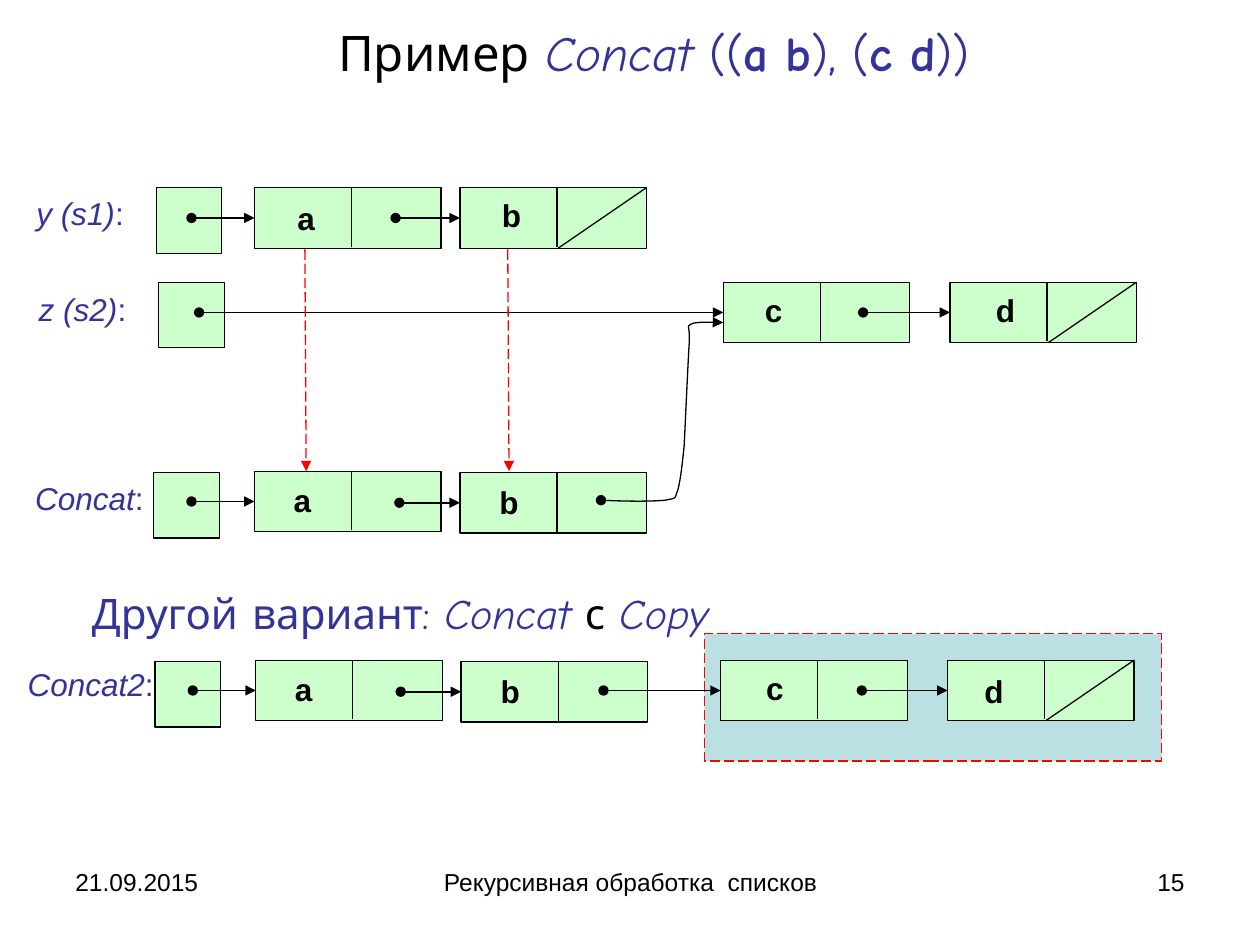
import pptx
import pptx.util
import pptx.dml.color
import pptx.enum.dml
import pptx.enum.shapes
import pptx.enum.text
import pptx.oxml.xmlchemy

BLACK = pptx.dml.color.RGBColor(0x00, 0x00, 0x00)
NAVY = pptx.dml.color.RGBColor(0x33, 0x33, 0x99)
RED = pptx.dml.color.RGBColor(0xFF, 0x00, 0x00)
GREEN = pptx.dml.color.RGBColor(0xCC, 0xFF, 0xCC)
TEAL = pptx.dml.color.RGBColor(0xBB, 0xE0, 0xE3)
LEFT = pptx.enum.text.PP_ALIGN.LEFT
CENTER = pptx.enum.text.PP_ALIGN.CENTER
RIGHT = pptx.enum.text.PP_ALIGN.RIGHT
RECTANGLE = pptx.enum.shapes.MSO_SHAPE.RECTANGLE
STRAIGHT = pptx.enum.shapes.MSO_CONNECTOR.STRAIGHT
DASH = pptx.enum.dml.MSO_LINE.LONG_DASH

deck = pptx.Presentation()
deck.slide_width = pptx.util.Inches(10)
deck.slide_height = pptx.util.Inches(7.5)
slide = deck.slides.add_slide(deck.slide_layouts[6])
shapes = slide.shapes
COL = deck.slide_width / 100
ROW = deck.slide_height / 75


def add_text(x, y, width, height, runs, size, font="Arial", align=CENTER, inset=(1, 0.5)):
    box = shapes.add_textbox(round(x * COL), round(y * ROW), round(width * COL), round(height * ROW))
    frame = box.text_frame
    frame.word_wrap = True
    frame.margin_left = frame.margin_right = round(inset[0] * COL)
    frame.margin_top = frame.margin_bottom = round(inset[1] * ROW)
    paragraph = frame.paragraphs[0]
    paragraph.alignment = align
    for words, color, style in runs:
        run = paragraph.add_run()
        run.text = words
        run.font.name = font
        run.font.size = pptx.util.Pt(size)
        run.font.color.rgb = color
        run.font.bold = "b" in style
        run.font.italic = "i" in style
    return paragraph


def add_line(x1, y1, x2, y2, color=BLACK, width=0.75):
    line = shapes.add_connector(STRAIGHT, round(x1 * COL), round(y1 * ROW),
                                round(x2 * COL), round(y2 * ROW))
    line.line.color.rgb = color
    line.line.width = pptx.util.Pt(width)
    line._element.spPr.append(pptx.oxml.xmlchemy.OxmlElement("a:effectLst"))
    return line


for x, width, words, align in (
    (5, 23.3, "21.09.2015", LEFT),
    (34.2, 31.7, "Рекурсивная обработка  списков", CENTER),
    (71.7, 23.3, "15", RIGHT),
):
    add_text(x, 68.3, width, 5.2, [(words, BLACK, "")], 14, align=align)

title = add_text(6.9, 2.2, 90, 5.1, [
    ("Пример ", BLACK, ""), ("Concat ", NAVY, "i"), ("((", NAVY, ""), ("a b", NAVY, "b"),
    ("), (", NAVY, ""), ("c d", NAVY, "b"), ("))", NAVY, "")], 28, "Comic Neue")
title.line_spacing = 0.8
add_text(2.9, 46.1, 57.7, 5, [
    ("Другой вариант: ", NAVY, ""), ("Concat ", NAVY, "i"), ("с ", BLACK, ""),
    ("Copy", NAVY, "i")], 24, "Comic Neue")

for x, y, width, height, name, inset in (
    (1.4, 14.9, 9.9, 4, "y (s1)", (1, 0.5)),
    (1.4, 22.5, 10.3, 4, "z (s2)", (1, 0.5)),
    (1.4, 37.5, 11.4, 4, "Concat", (1, 0.5)),
    (1.5, 52.7, 11.4, 3.2, "Concat2", (0.2, 0.1)),
):
    add_text(x, y, width, height, [(name, NAVY, "i"), (":", NAVY, "")], 18, inset=inset)

boxes = [(55.9, 50.3, 36.3, 10.1, TEAL, RED)]
boxes += [(x, y, 5.2, 5.2, GREEN, BLACK)
          for x, y in ((12.4, 14.9), (12.6, 22.4), (12.2, 37.5), (12.3, 52.5))]
CELL_WIDTH, CELL_HEIGHT = 14.8, 4.8
cells = {
    "y.a": (20.2, 14.9, 3.1, 0.8),
    "y.b": (36.5, 14.9, 3.1, 0.6),
    "z.c": (57.4, 22.4, 3, 0.6),
    "z.d": (75.4, 22.4, 3.4, 0.6),
    "concat.a": (20.2, 37.4, 2.8, 0.7),
    "concat.b": (36.5, 37.5, 2.9, 0.7),
    "concat2.a": (20.3, 52.4, 2.8, 0.7),
    "concat2.b": (36.6, 52.5, 2.9, 0.7),
    "concat2.c": (57.2, 52.4, 3.3, 0.6),
    "concat2.d": (75.2, 52.4, 2.7, 0.8),
}
list_ends = ("y.b", "z.d", "concat2.d")
boxes += [(x, y, CELL_WIDTH, CELL_HEIGHT, GREEN, BLACK) for x, y, *_ in cells.values()]

drawn = []
for x, y, width, height, fill, outline in boxes:
    box = shapes.add_shape(RECTANGLE, round(x * COL), round(y * ROW),
                           round(width * COL), round(height * ROW))
    box.shadow.inherit = False
    box.fill.solid()
    box.fill.fore_color.rgb = fill
    box.line.color.rgb = outline
    box.line.width = pptx.util.Pt(0.75)
    if outline == RED:
        box.line.dash_style = DASH
    drawn.append(box)
cell_boxes = dict(zip(cells, drawn[-len(cells):]))

for key, (x, y, letter_x, letter_y) in cells.items():
    add_line(x + 7.7, y, x + 7.7, y + 4.7)
    if key in list_ends:
        add_line(x + CELL_WIDTH, y, x + 7.8, y + CELL_HEIGHT)
    add_text(x + letter_x, y + letter_y, 2, 3.2, [(key[-1], BLACK, "b")], 18, inset=(0.2, 0.1))

pointers = []
for start, key in (
    (15.2, "y.a"), (31.4, "y.b"), (15.8, "z.c"), (68.5, "z.d"), (15.2, "concat.a"),
    (31.7, "concat.b"), (15.3, "concat2.a"), (31.8, "concat2.b"),
    (47.9, "concat2.c"), (68.4, "concat2.d"),
):
    x, y = cells[key][:2]
    middle = y + CELL_HEIGHT / 2
    pointer = add_line(start, middle, x, middle, width=1)
    pointer.end_connect(cell_boxes[key], 1)
    pointers.append(pointer)

copies = [add_line(x, 19.8, x + 0.1, 37.4, RED) for x in (24.2, 40.3)]
for copied in copies:
    copied.line.dash_style = DASH

bends = [
    ((49.8, 39.8), (51.8, 39.8), (52.8, 39.7)),
    ((53.8, 39.5), (53.5, 39.6), (53.8, 38.9)),
    ((54, 38.1), (54.1, 37.3), (54.3, 35.4)),
    ((54.4, 33.5), (54.6, 28.9), (54.7, 27.3)),
    ((54.8, 25.7), (54.4, 26), (54.9, 25.7)),
    ((55.3, 25.5), (57, 25.6), (57.4, 25.6)),
]
STEPS = 10
start = (47.7, 39.7)
builder = shapes.build_freeform(round(start[0] * COL), round(start[1] * ROW))
track = []
for bend in bends:
    for step in range(1, STEPS + 1):
        t = step / STEPS
        weights = ((1 - t) ** 3, 3 * t * (1 - t) ** 2, 3 * t * t * (1 - t), t ** 3)
        track.append(tuple(sum(w * point[axis] for w, point in zip(weights, (start, *bend))) * unit
                           for axis, unit in enumerate((COL, ROW))))
    start = bend[-1]
builder.add_line_segments(track, close=False)
shared_tail = builder.convert_to_shape()
shared_tail.shadow.inherit = False
shared_tail.fill.background()
shared_tail.line.color.rgb = BLACK
shared_tail.line.width = pptx.util.Pt(0.75)
pointers.append(shared_tail)

for arrows, ends in (
    (pointers, (("a:headEnd", "oval"), ("a:tailEnd", "triangle"))),
    (copies, (("a:tailEnd", "triangle"),)),
):
    for arrow in arrows:
        for tag, kind in ends:
            end = pptx.oxml.xmlchemy.OxmlElement(tag)
            end.set("type", kind)
            arrow._element.spPr.get_or_add_ln().append(end)

deck.save("out.pptx")
